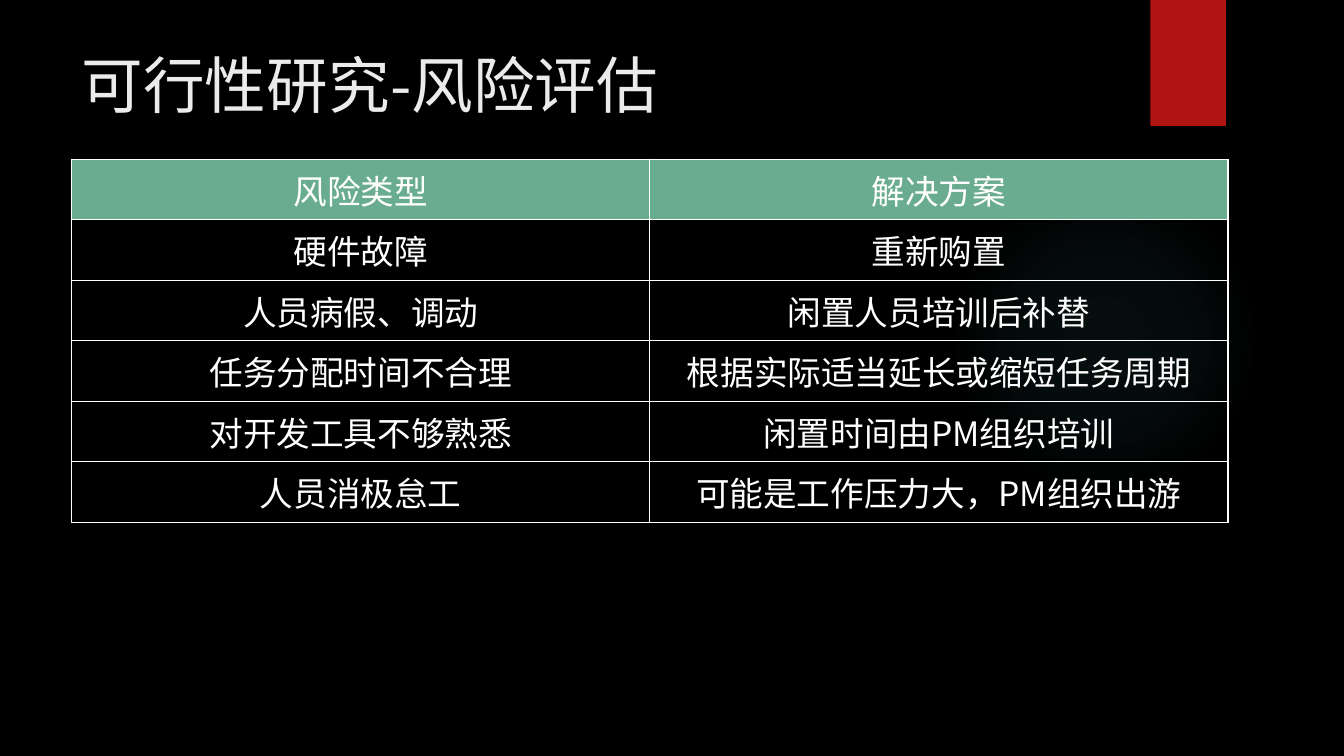
from lxml import etree
from pptx import Presentation
from pptx.dml.color import RGBColor as RGB
from pptx.enum.shapes import MSO_SHAPE as Shape
from pptx.enum.text import MSO_ANCHOR as Anchor, PP_ALIGN as Align
from pptx.oxml import parse_xml
from pptx.oxml.ns import nsdecls, qn
from pptx.util import Inches, Pt

# Content
TITLE = "可行性研究-风险评估"
ROWS = [
    ("风险类型", "解决方案"),
    ("硬件故障", "重新购置"),
    ("人员病假、调动", "闲置人员培训后补替"),
    ("任务分配时间不合理", "根据实际适当延长或缩短任务周期"),
    ("对开发工具不够熟悉", "闲置时间由PM组织培训"),
    ("人员消极怠工", "可能是工作压力大，PM组织出游"),
]
FONT = "Noto Sans CJK SC"
HEX = {"back": "000000", "title": "EBEBEB", "text": "FFFFFF",
       "head": "6AAC90", "tab": "B01513", "glow": "50B9C1"}
GLOW = [(0, 7), (36, 6), (69, 0), (100, 0)]  # stop %, opacity %
LEFT, TOP, WIDE, ROW_H = 0.71, 1.58, 11.47, 0.6


def color(name):
    return RGB.from_string(HEX[name])


def write(frame, text, size, tone, align):
    para = frame.paragraphs[0]
    para.alignment = align
    run = para.add_run()
    run.text = text
    look = {"name": FONT, "size": Pt(size), "bold": False}
    for key, value in look.items():
        setattr(run.font, key, value)
    run.font.color.rgb = color(tone)
    etree.SubElement(run.font._element, qn("a:ea"), typeface=FONT)
    return para


def block(kind, *box):
    item = slide.shapes.add_shape(kind, *map(Inches, box))
    item.shadow.inherit = False
    item.line.fill.background()
    return item


def edge(cell):
    props = cell._tc.get_or_add_tcPr()
    for spot, side in enumerate("LRTB"):
        props.insert(spot, parse_xml(
            f'<a:ln{side} {nsdecls("a")} w="{Pt(1)}"><a:solidFill>'
            f'<a:srgbClr val="{HEX["text"]}"/></a:solidFill></a:ln{side}>'))


# Slide and background
deck = Presentation()
deck.slide_width, deck.slide_height = Inches(13.33), Inches(7.5)
slide = deck.slides.add_slide(deck.slide_layouts[5])
slide.background.fill.solid()
slide.background.fill.fore_color.rgb = color("back")

# Soft glow
glow = block(Shape.OVAL, 9.41, 1.83, 3.08, 3.08)
glow.fill.background()
stops = "".join(
    f'<a:gs pos="{pos * 1000}"><a:srgbClr val="{HEX["glow"]}">'
    f'<a:alpha val="{alpha * 1000}"/></a:srgbClr></a:gs>'
    for pos, alpha in GLOW)
props = glow._element.spPr
props.replace(props.find(qn("a:noFill")), parse_xml(
    f'<a:gradFill {nsdecls("a")}><a:gsLst>{stops}</a:gsLst>'
    '<a:path path="circle"><a:fillToRect l="50000" t="50000" r="50000" '
    'b="50000"/></a:path></a:gradFill>'))

# Red tab with shadow
tab = block(Shape.RECTANGLE, 11.41, 0, 0.75, 1.25)
tab.fill.solid()
tab.fill.fore_color.rgb = color("tab")
tab._element.spPr.find(qn("a:effectLst")).append(parse_xml(
    f'<a:outerShdw {nsdecls("a")} blurRad="{Pt(3)}" dist="{Pt(2)}" '
    f'dir="5400000"><a:srgbClr val="{HEX["back"]}"><a:alpha val="45000"/>'
    '</a:srgbClr></a:outerShdw>'))

# Title
title = slide.shapes.title
box = {"left": LEFT, "top": 0.5, "width": 10.45, "height": 1.09}
for key, value in box.items():
    setattr(title, key, Inches(value))
title.text_frame.vertical_anchor = Anchor.TOP
write(title.text_frame, TITLE, 44, "title", Align.LEFT).line_spacing = 0.9

# Risk table
size = (LEFT, TOP, WIDE, ROW_H * len(ROWS))
table = slide.shapes.add_table(len(ROWS), 2, *map(Inches, size)).table
for col in table.columns:
    col.width = Inches(WIDE / 2)
for r, row in enumerate(ROWS):
    table.rows[r].height = Inches(ROW_H)
    for c, text in enumerate(row):
        cell = table.cell(r, c)
        cell.vertical_anchor = Anchor.MIDDLE
        if r == 0:
            cell.fill.solid()
            cell.fill.fore_color.rgb = color("head")
        else:
            cell.fill.background()
        edge(cell)
        write(cell.text_frame, text, 24, "text", Align.CENTER)

deck.save("out.pptx")
